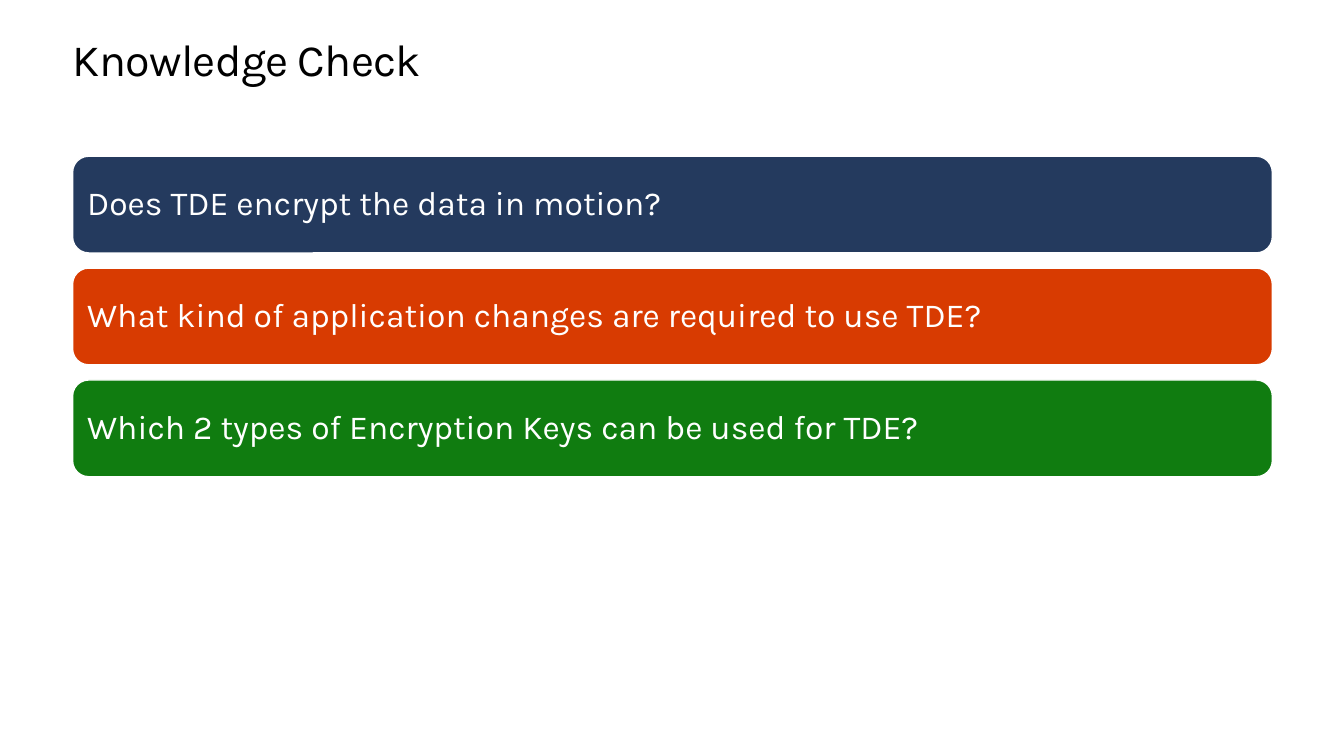
from pptx import Presentation
from pptx.dml.color import RGBColor
from pptx.enum.shapes import MSO_SHAPE as Shape
from pptx.enum.text import MSO_ANCHOR as Anchor, PP_ALIGN as Align
from pptx.util import Inches, Pt


def color(value):
    return RGBColor.from_string(value)


class QuizSlide:
    font = "Karla"
    left = 0.72
    width = 11.9

    def __init__(self, deck):
        self.page = deck.slides.add_slide(deck.slide_layouts[6])

    def set_text(self, box, text, size, ink, line_spacing, inset=0, anchor=Anchor.TOP):
        frame = box.text_frame
        frame.text = text
        frame.word_wrap = True
        frame.vertical_anchor = anchor
        frame.margin_left = frame.margin_right = Inches(inset)
        frame.margin_top = frame.margin_bottom = Inches(inset)
        para = frame.paragraphs[0]
        para.alignment = Align.LEFT
        para.line_spacing = line_spacing
        span = para.runs[0]
        span.font.name = self.font
        span.font.size = Pt(size)
        span.font.color.rgb = color(ink)
        return span

    def title(self, text, top, height):
        box = self.page.shapes.add_textbox(
            Inches(self.left), Inches(top), Inches(self.width), Inches(height))
        span = self.set_text(box, text, 32, "000000", Pt(36.2))
        span._r.get_or_add_rPr().set("spc", "-50")

    def question(self, text, fill, top, height):
        bar = self.page.shapes.add_shape(
            Shape.ROUNDED_RECTANGLE,
            Inches(self.left), Inches(top), Inches(self.width), Inches(height))
        bar.shadow.inherit = False
        bar.fill.solid()
        bar.fill.fore_color.rgb = color(fill)
        bar.line.color.rgb = color("FFFFFF")
        bar.line.width = Pt(1)
        self.set_text(bar, text, 24, "FFFFFF", 0.9, inset=0.1, anchor=Anchor.MIDDLE)


QUESTIONS = [
    ("Does TDE encrypt the data in motion?", "243A5E"),
    ("What kind of application changes are required to use TDE?", "D83B01"),
    ("Which 2 types of Encryption Keys can be used for TDE?", "107C10"),
]
FIRST_TOP, BAR_HEIGHT, GAP = 1.55, 0.96, 0.15


def main():
    deck = Presentation()
    deck.slide_width = Inches(13.33)
    deck.slide_height = Inches(7.5)
    quiz = QuizSlide(deck)
    quiz.title("Knowledge Check", 0.35, 0.5)
    for row, (text, fill) in enumerate(QUESTIONS):
        quiz.question(text, fill, FIRST_TOP + row * (BAR_HEIGHT + GAP), BAR_HEIGHT)
    deck.save("out.pptx")


if __name__ == "__main__":
    main()
